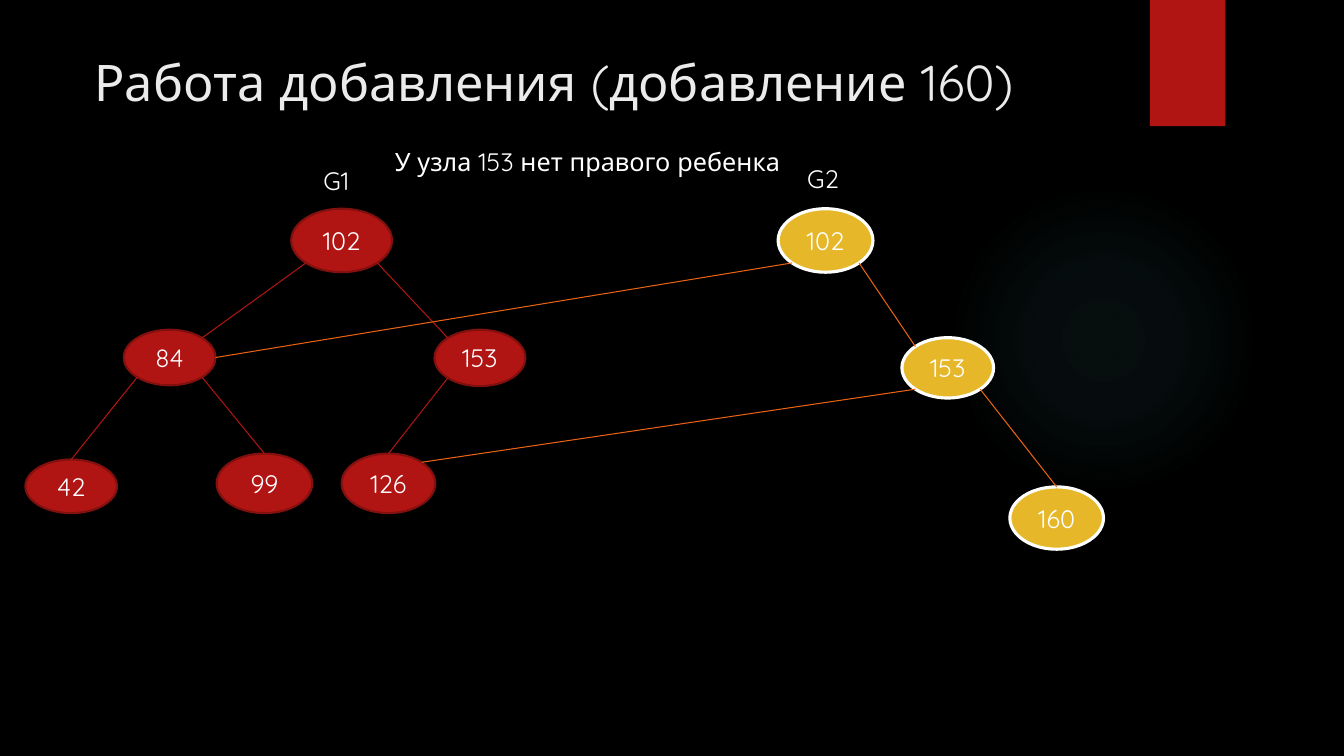
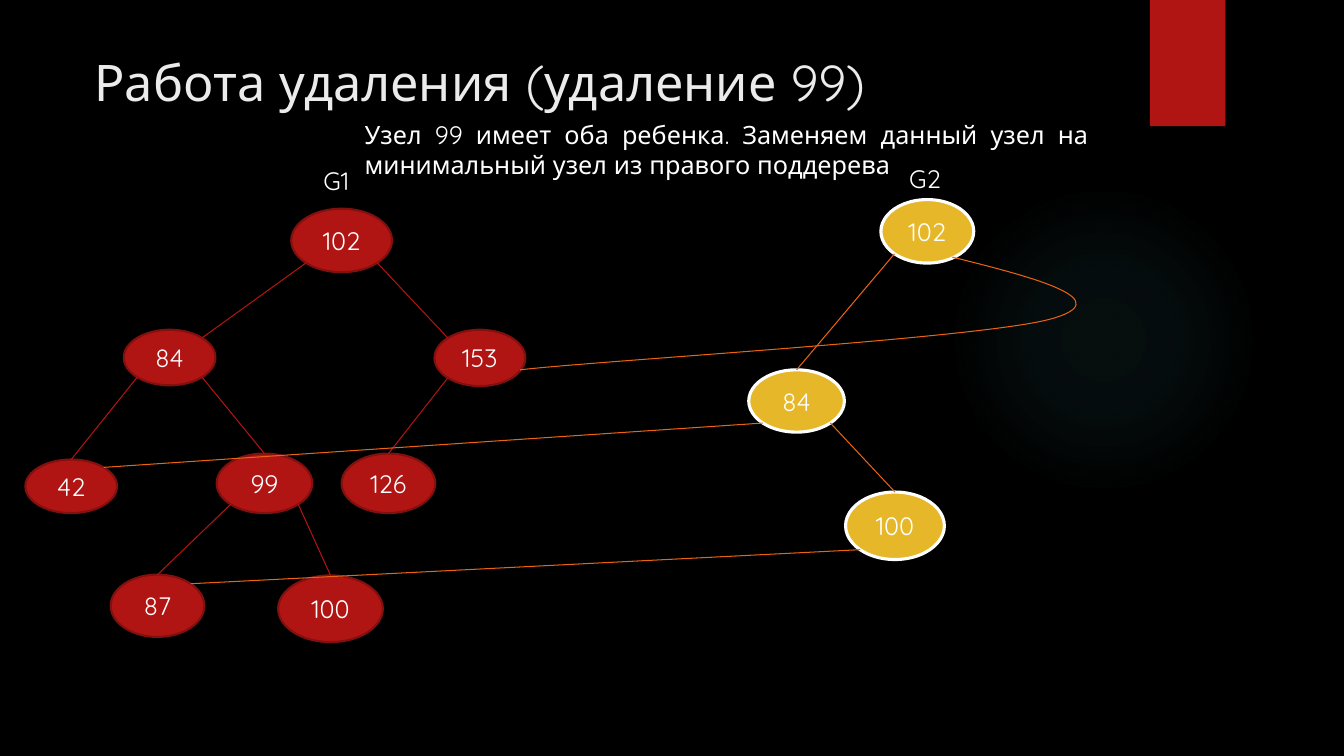
from math import cos, radians, sin

from lxml.etree import SubElement
from pptx import Presentation
from pptx.dml.color import RGBColor
from pptx.enum.shapes import MSO_CONNECTOR, MSO_SHAPE
from pptx.enum.text import MSO_ANCHOR, PP_ALIGN
from pptx.oxml import parse_xml
from pptx.oxml.ns import nsdecls, qn
from pptx.util import Cm, Pt

FONT = "Quicksand"
COLORS = {
    "background": "000000", "title": "EBEBEB", "text": "FFFFFF",
    "red": "B01513", "red_rim": "82100E",
    "gold": "E6B729", "gold_rim": "FFFFFF", "orange": "EA6312", "glow": "50B9C1",
}
# Fill, rim, rim width in points, link colour
OLD_STYLE = ("red", "red_rim", 1.5, "red")
NEW_STYLE = ("gold", "gold_rim", 2.25, "orange")

# Boxes are left, top, width, height in cm
TITLE_BOX = (2.13, 1.17, 26.14, 1.96)
BAND_BOX = (28.98, 0, 1.9, 3.18)
GLOW_BOX = (23.9, 4.65, 7.82, 7.82)
GLOW_STOPS = [(0, 7), (36, 6), (69, 0)]  # position and opacity, percent
LABEL_SIZE = (1.42, 1.02)

# Ellipse connection sites: index and angle, clockwise from the right
SITES = {
    "top": (0, 270), "top left": (1, 225), "bottom left": (3, 135),
    "bottom right": (5, 45), "right": (6, 0), "top right": (7, 315),
}

OLD_NODES = {
    "102": (7.34, 5.26, 2.54, 1.6),
    "84": (3.12, 8.31, 2.31, 1.4),
    "153": (10.95, 8.31, 2.29, 1.42),
    "42": (0.64, 11.58, 2.31, 1.35),
    "99": (5.46, 11.43, 2.41, 1.5),
    "126": (8.61, 11.43, 2.36, 1.5),
}
OLD_LINKS = [
    ("102", "bottom left", "84", "top right"),
    ("84", "bottom left", "42", "top"),
    ("84", "bottom right", "99", "top"),
    ("102", "bottom right", "153", "top left"),
    ("153", "bottom left", "126", "top"),
]

VERSIONS = [
    {
        "title": "Работа добавления (добавление 160)",
        "caption": "У узла 153 нет правого ребенка",
        "caption_box": (9.7, 3.56, 11, 1.02),
        "caption_align": PP_ALIGN.LEFT,
        "labels": {"G1": (7.9, 4.04), "G2": (20.09, 3.99)},
        "old_nodes": OLD_NODES,
        "old_links": OLD_LINKS,
        "new_nodes": {
            "102": (19.61, 5.26, 2.39, 1.6),
            "153": (22.73, 8.51, 2.31, 1.52),
            "160": (25.45, 12.27, 2.36, 1.57),
        },
        "new_links": [
            ("102", "bottom left", "84", "right"),
            ("102", "bottom right", "153", "top left"),
            ("153", "bottom left", "126", "top right"),
            ("153", "bottom right", "160", "top"),
        ],
        "curve": None,
    },
    {
        "title": "Работа удаления (удаление 99)",
        "caption": "Узел 99 имеет оба ребенка. Заменяем данный узел на "
                   "минимальный узел из правого поддерева",
        "caption_box": (8.94, 2.87, 18.75, 1.8),
        "caption_align": PP_ALIGN.JUSTIFY,
        "labels": {"G1": (7.9, 4.04), "G2": (22.66, 3.99)},
        "old_nodes": {
            **OLD_NODES,
            "87": (2.79, 14.48, 2.36, 1.57),
            "100": (7.01, 14.5, 2.64, 1.68),
        },
        "old_links": OLD_LINKS + [
            ("99", "bottom left", "87", "top"),
            ("99", "bottom right", "100", "top"),
        ],
        "new_nodes": {
            "102": (22.2, 5.03, 2.34, 1.6),
            "84": (18.87, 9.32, 2.41, 1.57),
            "100": (21.31, 12.4, 2.49, 1.7),
        },
        "new_links": [
            ("102", "bottom left", "84", "top"),
            ("84", "bottom left", "42", "top right"),
            ("84", "bottom right", "100", "top"),
            ("100", "bottom left", "87", "top right"),
        ],
        # Start, then two control points and an end for each arc
        "curve": [(24, 6.48), (26.14, 7.01), (28.24, 7.57), (26.44, 8.05),
                  (24.61, 8.53), (15.06, 9.09), (13.11, 9.32)],
    },
]
CURVE_WIDTH = 14.02


def rgb(name):
    """Return a named colour."""
    return RGBColor.from_string(COLORS[name])


def cm_all(lengths):
    """Turn numbers into centimetre lengths."""
    return [Cm(length) for length in lengths]


def write(shape, words, size=18, color="text", align=PP_ALIGN.LEFT):
    """Put one formatted paragraph into a shape."""
    frame = shape.text_frame
    frame.word_wrap = True
    frame.text = words
    paragraph = frame.paragraphs[0]
    paragraph.alignment = align
    font = paragraph.runs[0].font
    font.name, font.size, font.color.rgb = FONT, Pt(size), rgb(color)


def add_text(slide, box, words, **style):
    """Add a text box."""
    write(slide.shapes.add_textbox(*cm_all(box)), words, **style)


def add_plain(slide, kind, box, fill):
    """Add a filled shape without line or shadow."""
    shape = slide.shapes.add_shape(kind, *cm_all(box))
    shape.shadow.inherit = False
    shape.fill.solid()
    shape.fill.fore_color.rgb = rgb(fill)
    shape.line.fill.background()
    return shape


def add_backdrop(slide):
    """Draw the background, glow and corner band shared by all slides."""
    slide.background.fill.solid()
    slide.background.fill.fore_color.rgb = rgb("background")
    glow = add_plain(slide, MSO_SHAPE.OVAL, GLOW_BOX, "glow")
    stops = "".join(
        f'<a:gs pos="{position * 1000}"><a:srgbClr val="{COLORS["glow"]}">'
        f'<a:alpha val="{opacity * 1000}"/></a:srgbClr></a:gs>'
        for position, opacity in GLOW_STOPS)
    gradient = parse_xml(
        f'<a:gradFill {nsdecls("a")}><a:gsLst>{stops}</a:gsLst><a:path path="circle">'
        '<a:fillToRect l="50000" t="50000" r="50000" b="50000"/></a:path></a:gradFill>')
    properties = glow._element.spPr
    properties.replace(properties.find(qn("a:solidFill")), gradient)
    add_plain(slide, MSO_SHAPE.RECTANGLE, BAND_BOX, "red")


def add_nodes(slide, boxes, style):
    """Draw tree nodes and return them by key."""
    fill, rim, rim_width, _ = style
    nodes = {}
    for key, box in boxes.items():
        node = add_plain(slide, MSO_SHAPE.OVAL, box, fill)
        node.line.color.rgb, node.line.width = rgb(rim), Pt(rim_width)
        node.text_frame.vertical_anchor = MSO_ANCHOR.MIDDLE
        write(node, key, align=PP_ALIGN.CENTER)
        nodes[key] = node
    return nodes


def site_point(node, site):
    """Return where a connection site lies on a node's rim."""
    angle = radians(SITES[site][1])
    return (int(node.left + node.width / 2 * (1 + cos(angle))),
            int(node.top + node.height / 2 * (1 + sin(angle))))


def add_links(slide, nodes, links, style):
    """Join nodes with straight connectors glued to their sites."""
    for parent, parent_site, child, child_site in links:
        ends = [("a:stCxn", nodes[parent], parent_site),
                ("a:endCxn", nodes[child], child_site)]
        start, end = [site_point(node, site) for _, node, site in ends]
        link = slide.shapes.add_connector(MSO_CONNECTOR.STRAIGHT, *start, *end)
        link.line.color.rgb, link.line.width = rgb(style[3]), Pt(0.75)
        SubElement(link._element.spPr, qn("a:effectLst"))
        glue = link._element.nvCxnSpPr.cNvCxnSpPr
        for tag, node, site in ends:
            SubElement(glue, qn(tag), id=str(node.shape_id), idx=str(SITES[site][0]))


def add_curve(slide, points):
    """Draw a smooth open line through Bezier arcs."""
    start, *others = [cm_all(point) for point in points]
    builder = slide.shapes.build_freeform(*start)
    builder.add_line_segments(others, close=False)
    curve = builder.convert_to_shape()
    curve.shadow.inherit = False
    curve.fill.background()
    curve.line.color.rgb, curve.line.width = rgb("orange"), Pt(0.75)
    outline = next(curve._element.iter(qn("a:path")))
    segments = outline.findall(qn("a:lnTo"))
    for first in range(0, len(segments), 3):
        arc = SubElement(outline, qn("a:cubicBezTo"))
        for segment in segments[first:first + 3]:
            arc.append(segment[0])
            outline.remove(segment)
    # The frame spans the drawn line, not its control points
    curve.width = Cm(CURVE_WIDTH)
    outline.set("w", str(curve.width))


def add_version(deck, version):
    """Build one slide with the old and the new tree."""
    slide = deck.slides.add_slide(deck.slide_layouts[6])
    add_backdrop(slide)
    add_text(slide, TITLE_BOX, version["title"], size=36, color="title")
    old_nodes = add_nodes(slide, version["old_nodes"], OLD_STYLE)
    add_links(slide, old_nodes, version["old_links"], OLD_STYLE)
    add_text(slide, version["caption_box"], version["caption"],
             align=version["caption_align"])
    new_nodes = add_nodes(slide, version["new_nodes"], NEW_STYLE)
    # New nodes replace old ones; untouched old nodes stay shared
    add_links(slide, {**old_nodes, **new_nodes}, version["new_links"], NEW_STYLE)
    if version["curve"]:
        add_curve(slide, version["curve"])
    for label, corner in version["labels"].items():
        add_text(slide, corner + LABEL_SIZE, label)


deck = Presentation()
deck.slide_width, deck.slide_height = Cm(33.87), Cm(19.05)
for version in VERSIONS:
    add_version(deck, version)
deck.save("out.pptx")
